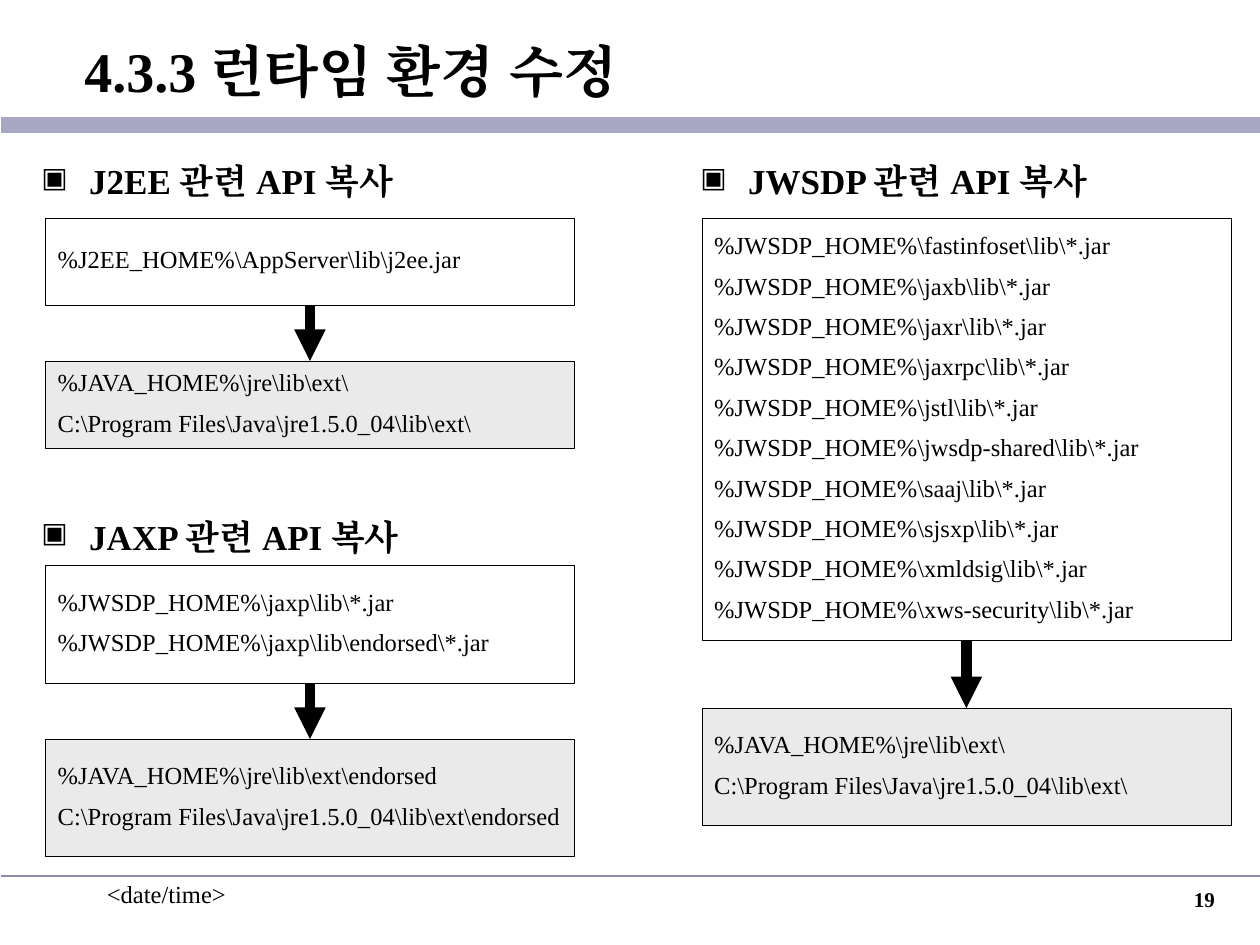
from dataclasses import dataclass

from pptx import Presentation
from pptx import util as u
from pptx.dml import color
from pptx.enum import shapes, text
from pptx.oxml import ns
from lxml import etree

COLS, ROWS = 100, 75
HUES = {"ink": "000000", "gray": "EAEAEA", "band": "A8A8C4", "rule": "8C8CB2"}
FACE = "Times New Roman"
LEFT, RIGHT, SPAN = 3.6, 55.7, 42

deck = Presentation()
deck.slide_width, deck.slide_height = u.Inches(10), u.Inches(7.5)
page = deck.slides.add_slide(deck.slide_layouts[5])


@dataclass
class Box:
    top: float
    high: float
    lines: list[str]


@dataclass
class Flow:
    head: str
    mark: tuple[float, float]
    left: float
    source: Box
    target: Box


def col(n: float) -> int:
    return round(deck.slide_width * n / COLS)


def row(n: float) -> int:
    return round(deck.slide_height * n / ROWS)


def hue(name: str) -> color.RGBColor:
    return color.RGBColor.from_string(HUES[name])


def add_run(para, words: str, size: float, bold: bool = False) -> None:
    run = para.add_run()
    run.text = words
    run.font.size, run.font.bold, run.font.name = u.Pt(size), bold, FACE
    run.font.color.rgb = hue("ink")
    east = etree.SubElement(run.font._element, ns.qn("a:ea"))
    east.set("typeface", FACE)


def indent(para, left: float, hang: float = 0):
    props = para._p.get_or_add_pPr()
    props.set("marL", str(col(left)))
    props.set("indent", str(-col(hang)))
    return props


def add_text(left: float, top: float, wide: float, high: float):
    frame = page.shapes.add_textbox(col(left), row(top), col(wide), row(high)).text_frame
    frame.word_wrap = True
    return frame.paragraphs[0]


def add_line(ends: tuple[float, float, float, float], name: str, width: float):
    x1, y1, x2, y2 = ends
    line = page.shapes.add_connector(
        shapes.MSO_CONNECTOR.STRAIGHT, col(x1), row(y1), col(x2), row(y2))
    line.line.color.rgb, line.line.width = hue(name), u.Pt(width)
    etree.SubElement(line._element.spPr, ns.qn("a:effectLst"))
    return line


def add_box(left: float, box: Box, fill: str | None = None) -> None:
    shape = page.shapes.add_shape(
        shapes.MSO_SHAPE.RECTANGLE, col(left), row(box.top), col(SPAN), row(box.high))
    shape.shadow.inherit = False
    if fill:
        shape.fill.solid()
        shape.fill.fore_color.rgb = hue(fill)
    else:
        shape.fill.background()
    shape.line.color.rgb, shape.line.width = hue("ink"), u.Pt(0.25)
    frame = shape.text_frame
    frame.word_wrap, frame.margin_right = True, 0
    frame.vertical_anchor = text.MSO_ANCHOR.MIDDLE
    for i, words in enumerate(box.lines):
        para = frame.add_paragraph() if i else frame.paragraphs[0]
        para.alignment, para.line_spacing = text.PP_ALIGN.LEFT, 0.85
        if i:
            para.space_before = u.Pt(8.8)
        add_run(para, words, 14)


def add_head(words: str, left: float, top: float) -> None:
    para = add_text(left, top, 41.7, 4.6)
    props = indent(para, 3.8, 3.8)
    tint = etree.SubElement(props, ns.qn("a:buClr"))
    etree.SubElement(tint, ns.qn("a:srgbClr")).set("val", HUES["ink"])
    etree.SubElement(props, ns.qn("a:buSzPct")).set("val", "80000")
    etree.SubElement(props, ns.qn("a:buChar")).set("char", "▣")
    add_run(para, words, 20, True)


def add_flow(flow: Flow) -> None:
    add_head(flow.head, *flow.mark)
    add_box(flow.left, flow.source)
    add_box(flow.left, flow.target, "gray")
    mid = flow.left + SPAN / 2
    base = flow.source.top + flow.source.high
    shaft = add_line((mid, base, mid, flow.target.top), "ink", 6)
    tip = etree.SubElement(shaft.line._get_or_add_ln(), ns.qn("a:tailEnd"))
    tip.set("type", "triangle")


def add_title(words: str) -> None:
    title = page.shapes.title
    title.left, title.top, title.width, title.height = col(0.1), row(1.1), col(99.9), row(9)
    frame = title.text_frame
    frame.vertical_anchor = text.MSO_ANCHOR.MIDDLE
    para = frame.paragraphs[0]
    para.alignment = text.PP_ALIGN.LEFT
    indent(para, 5.6)
    add_run(para, words, 32, True)


EXT = [r"%JAVA_HOME%\jre\lib\ext" "\\", r"C:\Program Files\Java\jre1.5.0_04\lib\ext" "\\"]
PARTS = ["fastinfoset", "jaxb", "jaxr", "jaxrpc", "jstl", "jwsdp-shared",
         "saaj", "sjsxp", "xmldsig", "xws-security"]
FLOWS = [
    Flow("J2EE 관련 API 복사", (2.3, 12.2), LEFT,
         Box(17.3, 6.9, [r"%J2EE_HOME%\AppServer\lib\j2ee.jar"]),
         Box(28.65, 6.9, EXT)),
    Flow("JAXP 관련 API 복사", (2.3, 40.4), LEFT,
         Box(44.9, 9.3, [r"%JWSDP_HOME%\jaxp\lib\*.jar",
                         r"%JWSDP_HOME%\jaxp\lib\endorsed\*.jar"]),
         Box(58.65, 9.3, [words + "endorsed" for words in EXT])),
    Flow("JWSDP 관련 API 복사", (54.6, 12.2), RIGHT,
         Box(17.3, 33.5, [rf"%JWSDP_HOME%\{part}\lib\*.jar" for part in PARTS]),
         Box(56.2, 9.3, EXT)),
]

add_line((0.1, 9.9, COLS, 9.9), "band", 9.25)
add_line((0.1, 69.5, COLS, 69.5), "rule", 1)
add_title("4.3.3 런타임 환경 수정")
for flow in FLOWS:
    add_flow(flow)
add_run(add_text(7.5, 69.3, 20.8, 5), "<date/time>", 14)
number = add_text(76.6, 69.9, 20.8, 5)
number.alignment = text.PP_ALIGN.RIGHT
add_run(number, "19", 12, True)
deck.save("out.pptx")
